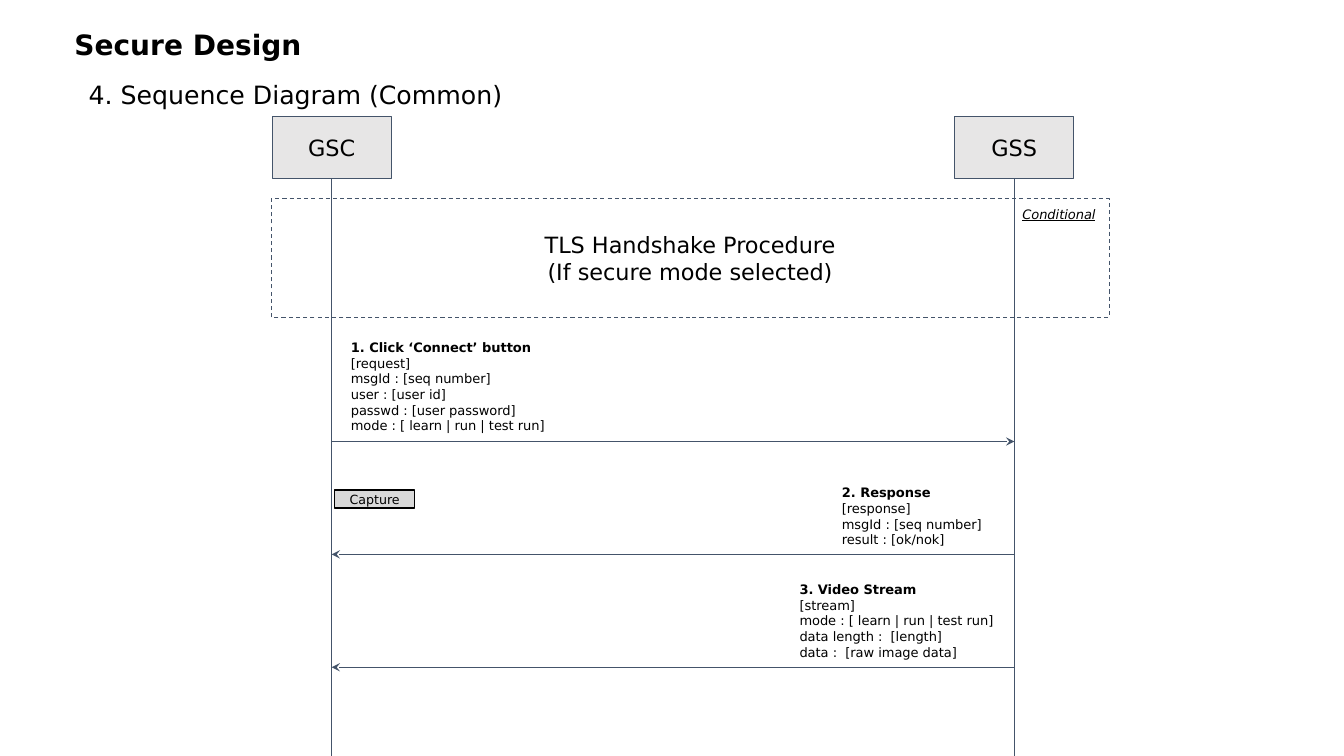
from lxml import etree
from pptx import Presentation
from pptx.dml.color import RGBColor
from pptx.enum.dml import MSO_LINE
from pptx.enum.shapes import MSO_CONNECTOR, MSO_SHAPE
from pptx.enum.text import MSO_ANCHOR, PP_ALIGN
from pptx.oxml.ns import qn
from pptx.util import Inches, Pt

BLACK = RGBColor(0x00, 0x00, 0x00)
SLATE = RGBColor(0x44, 0x54, 0x6A)
LIGHT_GRAY = RGBColor(0xE7, 0xE6, 0xE6)
MID_GRAY = RGBColor(0xD9, 0xD9, 0xD9)
FONT = "DejaVu Sans"
SLIDE_WIDTH, SLIDE_HEIGHT = 13.33, 7.5
GSC_X, GSS_X = 3.29, 10.06
ACTOR_TOP, ACTOR_WIDTH, ACTOR_HEIGHT = 1.16, 1.18, 0.61
NOTE_SIZE = 9.3

# sender x, receiver x, arrow y, text box, lines with the heading first
MESSAGES = [
    (GSC_X, GSS_X, 4.38, (3.35, 3.24, 6.22, 1.21),
     ["1. Click ‘Connect’ button", "[request]", "msgId : [seq number]",
      "user : [user id]", "passwd : [user password]",
      "mode : [ learn | run | test run]"]),
    (GSS_X, GSC_X, 5.5, (8.22, 4.68, 2.12, 0.9),
     ["2. Response", "[response]", "msgId : [seq number]",
      "result : [ok/nok]"]),
    (GSS_X, GSC_X, 6.62, (7.8, 5.64, 2.35, 1.05),
     ["3. Video Stream", "[stream]", "mode : [ learn | run | test run]",
      "data length :  [length]", "data :  [raw image data]"]),
]


def write_lines(shape, lines, size, inset=0.13, align=PP_ALIGN.LEFT,
                bold_heading=False, italic=False, underline=False):
    """Fill a shape with one paragraph per line of text."""
    frame = shape.text_frame
    frame.word_wrap = True
    frame.margin_left = frame.margin_right = Inches(inset)
    frame.margin_top = frame.margin_bottom = Inches(min(inset, 0.13))
    for index, line in enumerate(lines):
        para = frame.add_paragraph() if index else frame.paragraphs[0]
        para.alignment = align
        span = para.add_run()
        span.text = line
        font = span.font
        font.name = FONT
        font.size = Pt(size)
        font.color.rgb = BLACK
        font.bold = bold_heading and index == 0
        font.italic = italic
        font.underline = underline


def add_text(page, box, lines, size, **style):
    shape = page.shapes.add_textbox(*map(Inches, box))
    write_lines(shape, lines, size, **style)
    return shape


def add_box(page, box, lines, size, fill=None, line=SLATE, width=0.75, inset=0.13):
    """Add a rectangle with centred text; no fill leaves it see-through."""
    shape = page.shapes.add_shape(MSO_SHAPE.RECTANGLE, *map(Inches, box))
    shape.shadow.inherit = False
    if fill is None:
        shape.fill.background()
    else:
        shape.fill.solid()
        shape.fill.fore_color.rgb = fill
    shape.line.color.rgb = line
    shape.line.width = Pt(width)
    write_lines(shape, lines, size, inset=inset, align=PP_ALIGN.CENTER)
    shape.text_frame.vertical_anchor = MSO_ANCHOR.MIDDLE
    return shape


def add_line(page, start, end, arrow=False):
    line = page.shapes.add_connector(
        MSO_CONNECTOR.STRAIGHT, *map(Inches, (*start, *end)))
    line.line.color.rgb = SLATE
    line.line.width = Pt(0.75)
    if arrow:
        etree.SubElement(line.line._get_or_add_ln(), qn("a:tailEnd"), type="stealth")
    etree.SubElement(line._element.spPr, qn("a:effectLst"))
    return line


def add_headings(page, left, top):
    title = add_text(page, (left, top, 11.5, 0.91), ["Secure Design"], 20,
                     inset=0.1, bold_heading=True)
    title.text_frame.margin_top = Inches(0.05)
    title.text_frame.paragraphs[0].line_spacing = 0.9
    add_text(page, (left + 0.11, top + 0.4, 8.47, 0.57),
             ["4. Sequence Diagram (Common)"], 18)


def add_actor(page, name, center):
    """Add an actor's box and the lifeline that runs down from it."""
    box = (center - ACTOR_WIDTH / 2, ACTOR_TOP, ACTOR_WIDTH, ACTOR_HEIGHT)
    actor = add_box(page, box, [name], 16, fill=LIGHT_GRAY)
    lifeline = add_line(page, (center, ACTOR_TOP + ACTOR_HEIGHT),
                        (center, SLIDE_HEIGHT))
    lifeline.begin_connect(actor, 2)


def add_message(page, sender, receiver, y, box, lines):
    add_text(page, box, lines, NOTE_SIZE, bold_heading=True)
    add_line(page, (sender, y), (receiver, y), arrow=True)


def add_handshake(page, left, top, width, height):
    frame = add_box(page, (left, top, width, height),
                    ["TLS Handshake Procedure", "(If secure mode selected)"], 16)
    frame.line.dash_style = MSO_LINE.DASH
    add_text(page, (left + width - 0.99, top, 1.1, 0.43), ["Conditional"],
             NOTE_SIZE, italic=True, underline=True)


def add_sequence_slide(deck):
    page = deck.slides.add_slide(deck.slide_layouts[6])
    add_headings(page, 0.64, 0.26)
    add_actor(page, "GSC", GSC_X)
    add_actor(page, "GSS", GSS_X)
    for message in MESSAGES:
        add_message(page, *message)
    add_handshake(page, 2.69, 1.97, 8.31, 1.18)
    add_box(page, (GSC_X + 0.03, 4.86, 0.79, 0.18), ["Capture"], 9,
            fill=MID_GRAY, line=BLACK, width=1, inset=0.05)


def main():
    deck = Presentation()
    deck.slide_width = Inches(SLIDE_WIDTH)
    deck.slide_height = Inches(SLIDE_HEIGHT)
    add_sequence_slide(deck)
    deck.save("out.pptx")


if __name__ == "__main__":
    main()
